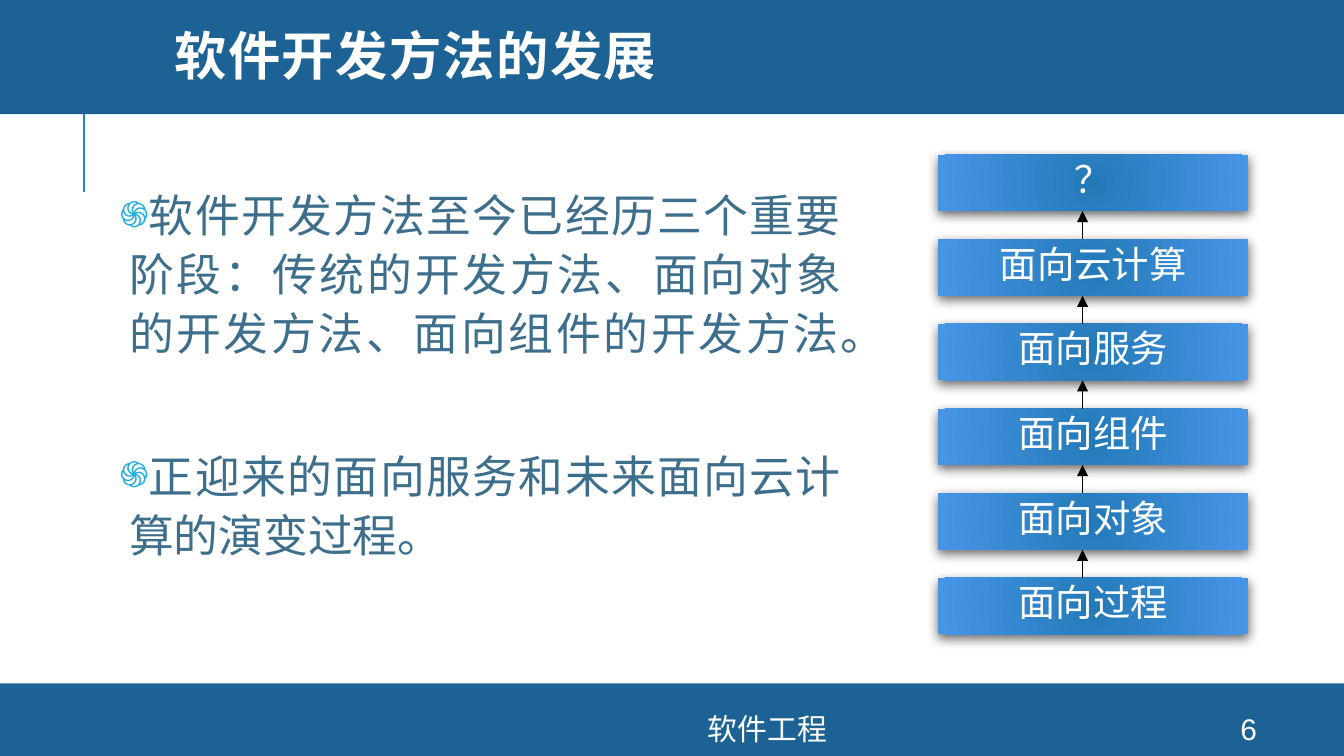
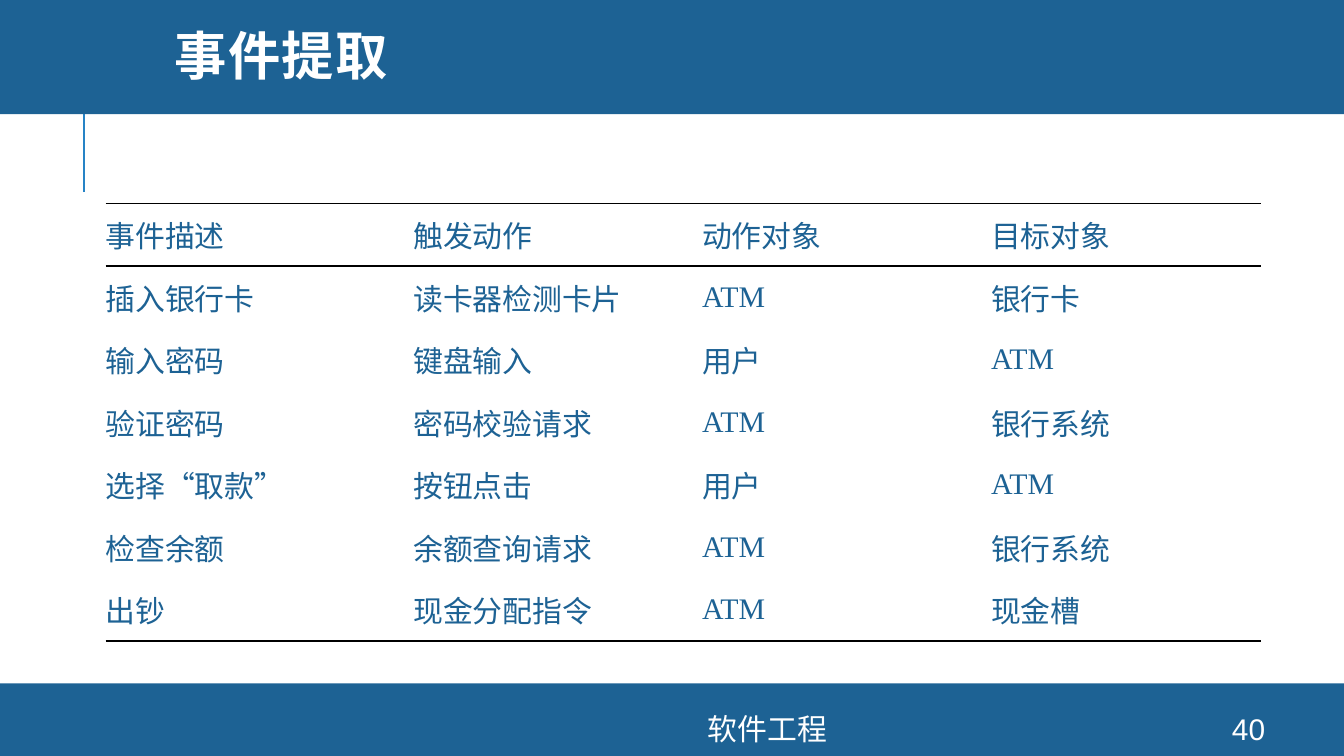
from dataclasses import dataclass
from typing import Any, NamedTuple

from lxml.etree import SubElement
from pptx import Presentation
from pptx.dml.color import RGBColor
from pptx.enum.shapes import MSO_CONNECTOR, MSO_SHAPE
from pptx.enum.text import MSO_ANCHOR, PP_ALIGN
from pptx.oxml import parse_xml
from pptx.oxml.ns import nsdecls, qn
from pptx.util import Emu, Pt


@dataclass(frozen=True)
class Theme:
    band: str = "1D6294"
    rule: str = "2683C6"
    white: str = "FFFFFF"
    black: str = "000000"
    body: str = "3D6E8C"
    bullet: str = "1CADE4"
    inner: str = "237AB8"
    outer: str = "4895E7"
    title: int = 28
    text: int = 24
    step: int = 20
    small: int = 16
    head: str = "Montserrat"
    sans: str = "Arial"
    serif: str = "Times New Roman"
    han: str = "Noto Sans CJK SC"


class Box(NamedTuple):
    left: int
    top: int
    width: int
    height: int


class Type(NamedTuple):
    size: int
    color: str
    font: str
    bold: bool = False
    space: int = 0


class Page(NamedTuple):
    title: str
    number: str


class Point(NamedTuple):
    text: str
    font: str


THEME = Theme()
SCALE = 4572
WIDTH, HEIGHT = 2000, 1125

TITLE = Type(THEME.title, THEME.white, THEME.head, True, 80)
STEP = Type(THEME.step, THEME.white, THEME.sans)
FOOT = Type(THEME.small, THEME.white, THEME.sans)
CELL = Type(THEME.small, THEME.band, THEME.serif)

POINTS = [
    Point("软件开发方法至今已经历三个重要阶段：传统的开发方法、"
          "面向对象的开发方法、面向组件的开发方法。", THEME.han),
    Point("正迎来的面向服务和未来面向云计算的演变过程。", THEME.sans),
]
STEPS = ["？", "面向云计算", "面向服务", "面向组件", "面向对象", "面向过程"]
EVENTS = [
    ["事件描述", "触发动作", "动作对象", "目标对象"],
    ["插入银行卡", "读卡器检测卡片", "ATM", "银行卡"],
    ["输入密码", "键盘输入", "用户", "ATM"],
    ["验证密码", "密码校验请求", "ATM", "银行系统"],
    ["选择“取款”", "按钮点击", "用户", "ATM"],
    ["检查余额", "余额查询请求", "ATM", "银行系统"],
    ["出钞", "现金分配指令", "ATM", "现金槽"],
]


def px(value: int) -> Emu:
    return Emu(value * SCALE)


def place(box: Box) -> list[Emu]:
    return [px(value) for value in box]


def rgb(color: str) -> RGBColor:
    return RGBColor.from_string(color)


def write(para: Any, text: str, kind: Type) -> None:
    run = para.add_run()
    run.text = text
    font = run.font
    font.size = Pt(kind.size)
    font.bold = kind.bold
    font.color.rgb = rgb(kind.color)
    font.name = kind.font
    props = font._element
    SubElement(props, qn("a:ea"), typeface=THEME.han)
    if kind.space:
        props.set("spc", str(kind.space))


def label(slide: Any, box: Box, text: str, kind: Type,
          align: PP_ALIGN = PP_ALIGN.CENTER, lead: float = 1.0) -> None:
    frame = slide.shapes.add_textbox(*place(box)).text_frame
    frame.word_wrap = True
    frame.vertical_anchor = MSO_ANCHOR.MIDDLE
    para = frame.paragraphs[0]
    para.alignment = align
    para.line_spacing = lead
    write(para, text, kind)


def block(slide: Any, box: Box) -> Any:
    shape = slide.shapes.add_shape(MSO_SHAPE.RECTANGLE, *place(box))
    shape.shadow.inherit = False
    shape.line.fill.background()
    return shape


def band(slide: Any, box: Box) -> None:
    fill = block(slide, box).fill
    fill.solid()
    fill.fore_color.rgb = rgb(THEME.band)


def stroke(slide: Any, start: tuple[int, int], end: tuple[int, int],
           color: str, weight: float, arrow: bool = False) -> None:
    line = slide.shapes.add_connector(
        MSO_CONNECTOR.STRAIGHT, *map(px, start + end))
    line.line.color.rgb = rgb(color)
    line.line.width = Pt(weight)
    props = line._element.spPr
    if arrow:
        SubElement(props.find(qn("a:ln")), qn("a:tailEnd"), type="triangle")
    SubElement(props, qn("a:effectLst"))


def frame_page(deck: Any, page: Page) -> Any:
    slide = deck.slides.add_slide(deck.slide_layouts[6])
    stroke(slide, (125, 286), (125, 136), THEME.rule, 1.5)
    band(slide, Box(0, 1017, WIDTH, HEIGHT - 1017))
    band(slide, Box(0, -6, WIDTH, 176))
    label(slide, Box(240, 0, 1698, 181), page.title, TITLE,
          PP_ALIGN.LEFT, 0.8)
    label(slide, Box(521, 1062, 1242, 46), "软件工程", FOOT)
    label(slide, Box(1778, 1062, 160, 46), page.number, FOOT)
    return slide


def mark(para: Any) -> None:
    props = para._p.get_or_add_pPr()
    props.set("marL", str(px(14)))
    props.set("indent", str(px(-94)))
    tint = SubElement(props, qn("a:buClr"))
    SubElement(tint, qn("a:srgbClr"), val=THEME.bullet)
    SubElement(props, qn("a:buSzPct"), val="80000")
    SubElement(props, qn("a:buFont"), typeface=THEME.sans)
    SubElement(props, qn("a:buChar"), char="֍")


def list_points(slide: Any, box: Box) -> None:
    frame = slide.shapes.add_textbox(*place(box)).text_frame
    frame.word_wrap = True
    frame.margin_left = frame.margin_right = px(10)
    frame.margin_top = frame.margin_bottom = px(10)
    for index, point in enumerate(POINTS):
        para = frame.add_paragraph() if index else frame.paragraphs[0]
        mark(para)
        para.alignment = PP_ALIGN.JUSTIFY
        para.line_spacing = 1.1
        if index:
            para.space_before = Pt(44.5)
        write(para, point.text, Type(THEME.text, THEME.body, point.font))


def draw_step(slide: Any, box: Box, text: str) -> None:
    shape = block(slide, box)
    props = shape._element.spPr
    props.insert(2, parse_xml(
        f'<a:gradFill {nsdecls("a")} rotWithShape="1"><a:gsLst>'
        f'<a:gs pos="0"><a:srgbClr val="{THEME.inner}"/></a:gs>'
        f'<a:gs pos="100000"><a:srgbClr val="{THEME.outer}"/></a:gs>'
        '</a:gsLst><a:path path="circle"><a:fillToRect l="100000" '
        't="100000" r="100000" b="100000"/></a:path></a:gradFill>'))
    props.find(qn("a:effectLst")).append(parse_xml(
        f'<a:outerShdw {nsdecls("a")} blurRad="{Pt(6)}" dist="{Pt(2)}" '
        f'dir="5400000"><a:srgbClr val="{THEME.black}">'
        '<a:alpha val="60000"/></a:srgbClr></a:outerShdw>'))
    frame = shape.text_frame
    frame.vertical_anchor = MSO_ANCHOR.MIDDLE
    para = frame.paragraphs[0]
    para.alignment = PP_ALIGN.CENTER
    para.line_spacing = 0.8
    write(para, text, STEP)


def draw_steps(slide: Any, first: Box, pitch: int) -> None:
    for index, text in enumerate(STEPS):
        top = first.top + index * pitch
        draw_step(slide, first._replace(top=top), text)
        if index:
            end = top - pitch + first.height
            stroke(slide, (1611, top), (1611, end), THEME.black, 0.75, True)


def edge(cell: Any, shown: list[str]) -> None:
    props = cell._tc.get_or_add_tcPr()
    solid = f'<a:solidFill><a:srgbClr val="{THEME.black}"/></a:solidFill>'
    for index, side in enumerate(["lnL", "lnR", "lnT", "lnB"]):
        fill = solid if side in shown else "<a:noFill/>"
        props.insert(index, parse_xml(
            f'<a:{side} {nsdecls("a")} w="{Pt(1)}">{fill}</a:{side}>'))


def draw_table(slide: Any, left: int, top: int, wide: int, high: int) -> None:
    rows, cols = len(EVENTS), len(EVENTS[0])
    box = Box(left, top, wide * cols, high * rows)
    table = slide.shapes.add_table(rows, cols, *place(box)).table
    table.first_row = table.horz_banding = False
    style = table._tbl.tblPr.find(qn("a:tableStyleId"))
    style.text = "{2D5ABB26-0587-4C30-8999-92F81FD0307C}"
    rules = {0: ["lnT", "lnB"], 1: ["lnT"], rows - 1: ["lnB"]}
    for row, texts in enumerate(EVENTS):
        for col, text in enumerate(texts):
            cell = table.cell(row, col)
            cell.fill.background()
            cell.vertical_anchor = MSO_ANCHOR.MIDDLE
            cell.margin_left = px(28 if col else 0)
            cell.margin_right = px(28)
            cell.margin_top = cell.margin_bottom = px(14)
            write(cell.text_frame.paragraphs[0], text, CELL)
            edge(cell, rules.get(row, []))


def main() -> None:
    deck = Presentation()
    deck.slide_width, deck.slide_height = px(WIDTH), px(HEIGHT)

    growth = frame_page(deck, Page("软件开发方法的发展", "6"))
    list_points(growth, Box(168, 262, 1094, 628))
    draw_steps(growth, Box(1396, 230, 462, 84), 126)

    events = frame_page(deck, Page("事件提取", "40"))
    draw_table(events, 157, 303, 430, 93)

    deck.save("out.pptx")


if __name__ == "__main__":
    main()
